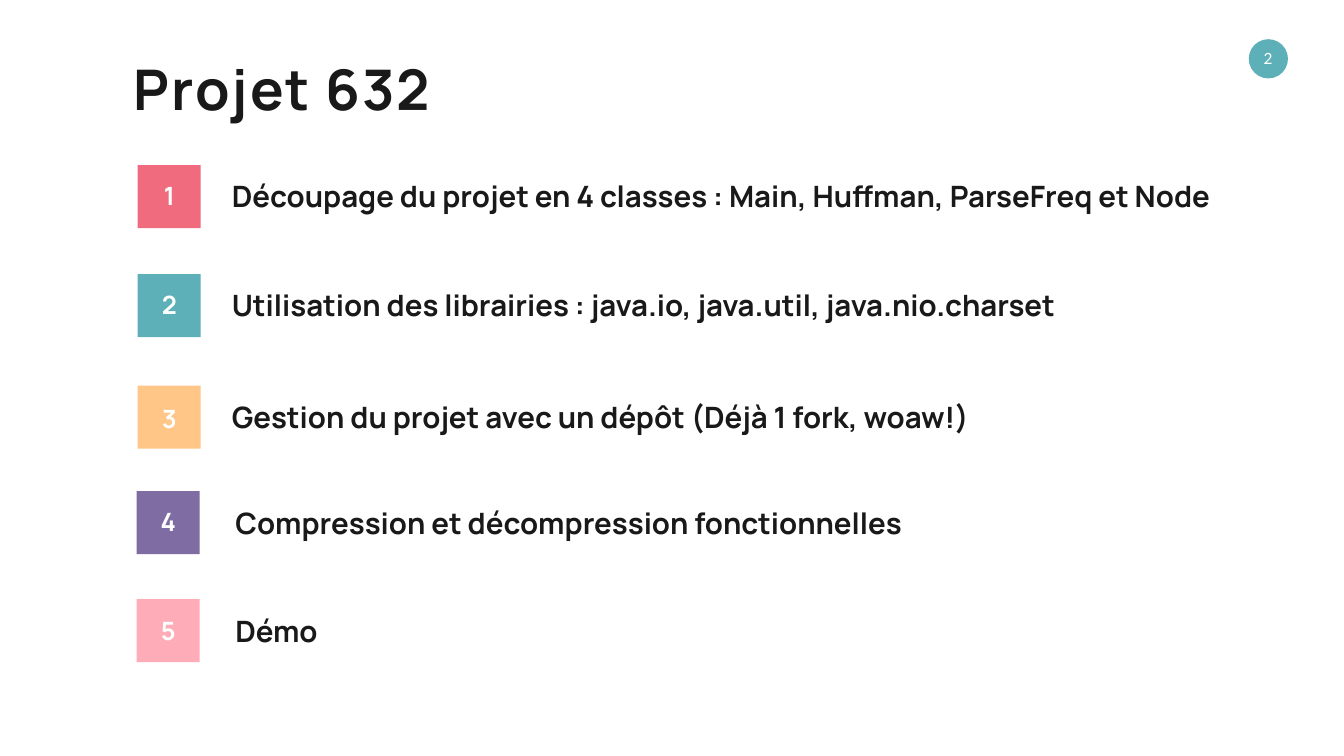
from pptx import Presentation
from pptx.dml.color import RGBColor
from pptx.enum.shapes import MSO_SHAPE as Shape
from pptx.enum.text import MSO_ANCHOR as Anchor, MSO_AUTO_SIZE as AutoSize, PP_ALIGN as Align
from pptx.util import Pt

INK = RGBColor(0x19, 0x19, 0x19)
WHITE = RGBColor(0xFF, 0xFF, 0xFF)
CORAL = RGBColor(0xF0, 0x6B, 0x7E)
TEAL = RGBColor(0x5D, 0xB0, 0xB7)
APRICOT = RGBColor(0xFF, 0xC6, 0x88)
PURPLE = RGBColor(0x7F, 0x6C, 0xA3)
PINK = RGBColor(0xFE, 0xAD, 0xB8)

SQUARE = 90
TOPIC_COLUMNS = {"upper": (196.5, 324, 15), "lower": (195, 329, 16.5)}
TOPICS = [
    ("Découpage du projet en 4 classes : Main, Huffman, ParseFreq et Node",
     CORAL, "upper", 236, 1520.5, 18.5),
    ("Utilisation des librairies : java.io, java.util, java.nio.charset",
     TEAL, "upper", 391.5, 1290, 18.5),
    ("Gestion du projet avec un dépôt (Déjà 1 fork, woaw!)",
     APRICOT, "upper", 551, 1110, 22),
    ("Compression et décompression fonctionnelles",
     PURPLE, "lower", 701.5, 988.5, 18.5),
    ("Démo", PINK, "lower", 856, 139.5, 19),
]


def add_block(page, kind, left, top, size, color):
    block = page.shapes.add_shape(kind, Pt(left), Pt(top), Pt(size), Pt(size))
    block.shadow.inherit = False
    block.fill.solid()
    block.fill.fore_color.rgb = color
    block.line.fill.background()


def add_text(page, text, left, top, width, height, *, size, color=INK, font="Manrope",
             bold=True, align=Align.LEFT, anchor=Anchor.TOP, wrap=False,
             inset=(7.2, 3.6), spacing=0):
    box = page.shapes.add_textbox(Pt(left), Pt(top), Pt(width), Pt(height))
    frame = box.text_frame
    frame.word_wrap = wrap
    frame.auto_size = AutoSize.SHAPE_TO_FIT_TEXT
    frame.vertical_anchor = anchor
    frame.margin_left = frame.margin_right = Pt(inset[0])
    frame.margin_top = frame.margin_bottom = Pt(inset[1])
    para = frame.paragraphs[0]
    para.alignment = align
    span = para.add_run()
    span.text = text
    span.font.name = font
    span.font.size = Pt(size)
    span.font.bold = bold
    span.font.color.rgb = color
    if spacing:
        span.font._element.set("spc", str(spacing * 100))


def add_topic(page, number, text, color, column, top, width, number_drop):
    square_left, label_left, label_drop = TOPIC_COLUMNS[column]
    add_block(page, Shape.RECTANGLE, square_left, top, SQUARE, color)
    add_text(page, str(number), square_left + 23.5, top + number_drop, 44, 51,
             size=36, color=WHITE, align=Align.CENTER, wrap=True)
    add_text(page, text, label_left, top + label_drop, width, 58.5, size=42)


def add_page_number(page, number):
    add_block(page, Shape.OVAL, 1783.5, 56, 56, TEAL)
    add_text(page, str(number), 1783.5, 62.5, 55, 41, size=22, color=WHITE, font="Lato",
             bold=False, align=Align.CENTER, inset=(14.4, 7.2))


def main():
    deck = Presentation()
    deck.slide_width, deck.slide_height = Pt(1919.5), Pt(1080)
    page = deck.slides.add_slide(deck.slide_layouts[6])
    page.background.fill.solid()
    page.background.fill.fore_color.rgb = WHITE
    add_page_number(page, 2)
    add_text(page, "Projet 632", 176.5, 77, 453, 97, size=80, align=Align.CENTER,
             anchor=Anchor.MIDDLE, inset=(0, 0), spacing=3)
    for number, topic in enumerate(TOPICS, 1):
        add_topic(page, number, *topic)
    deck.save("out.pptx")


main()
